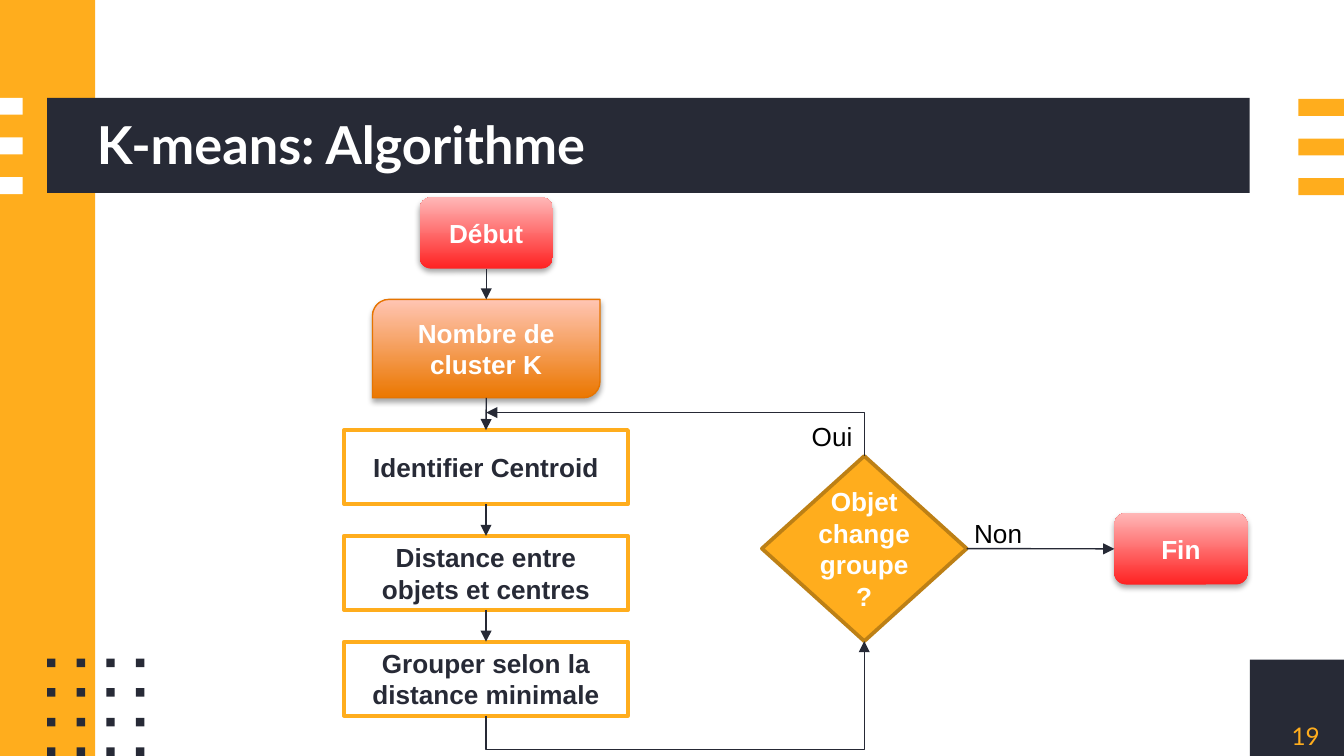
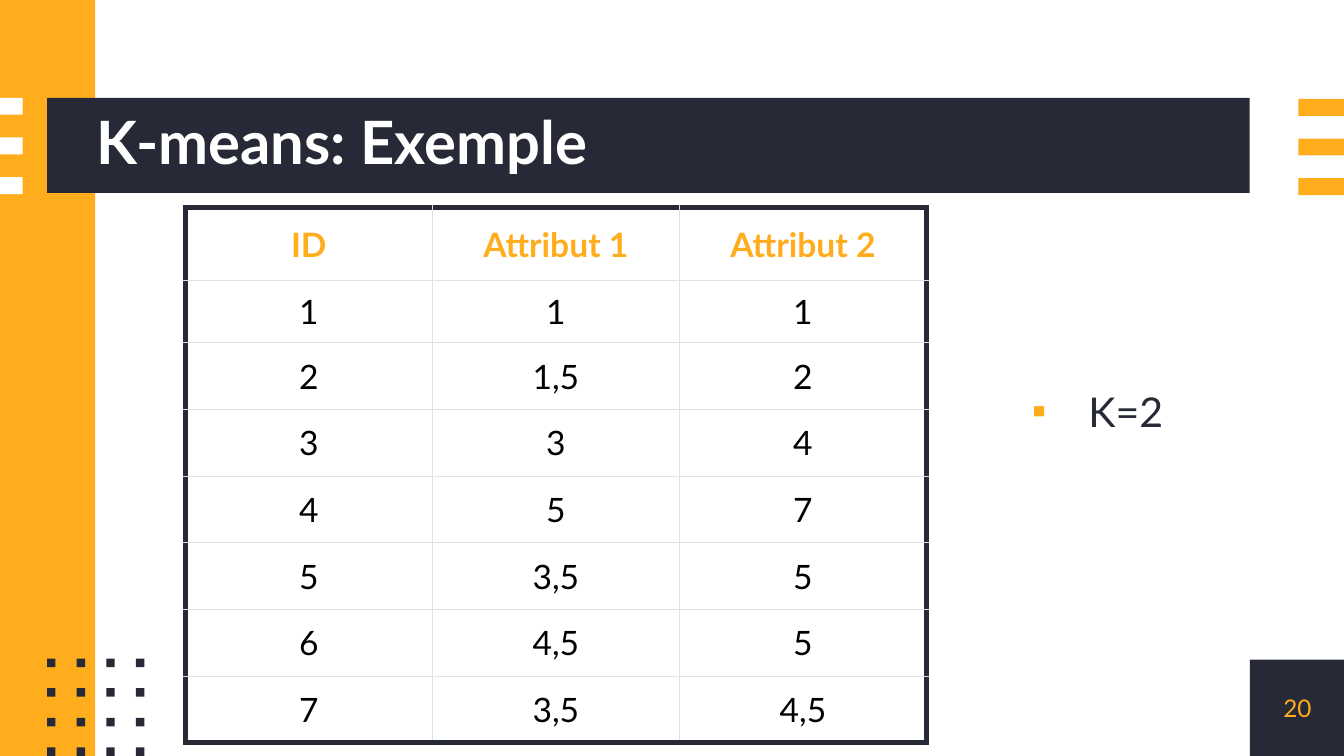
from lxml import etree
from pptx import Presentation
from pptx.dml.color import RGBColor
from pptx.enum.shapes import MSO_CONNECTOR, MSO_SHAPE
from pptx.enum.text import MSO_ANCHOR, MSO_AUTO_SIZE, PP_ALIGN
from pptx.oxml.ns import qn
from pptx.util import Cm, Pt

RECT = MSO_SHAPE.RECTANGLE
ROUND = MSO_SHAPE.ROUNDED_RECTANGLE
LEAF = MSO_SHAPE.ROUND_2_DIAG_RECTANGLE
RHOMB = MSO_SHAPE.DIAMOND
LINE = MSO_CONNECTOR.STRAIGHT
ELBOW = MSO_CONNECTOR.ELBOW
LEFT, MID = PP_ALIGN.LEFT, PP_ALIGN.CENTER
TOP, CENTER = MSO_ANCHOR.TOP, MSO_ANCHOR.MIDDLE
NONE = MSO_AUTO_SIZE.NONE

HUES = {
    "dark": "272A36", "gold": "FFAD1D", "white": "FFFFFF", "black": "000000",
    "ink": "262935", "red": "FF2222", "pink": "FFB7B7", "orange": "EB7700",
    "peach": "FFC5B3", "rust": "E67400", "brown": "BD8015", "grid": "E0E0E7",
}
SITES = {"top": 0, "left": 1, "bottom": 2, "right": 3}
LEAF_SITES = {"right": 0, "bottom": 1, "left": 2, "top": 3}
ROWS = [
    ("ID", "Attribut 1", "Attribut 2"),
    ("1", "1", "1"), ("2", "1,5", "2"), ("3", "3", "4"), ("4", "5", "7"),
    ("5", "3,5", "5"), ("6", "4,5", "5"), ("7", "3,5", "4,5"),
]


def hue(name):
    return RGBColor.from_string(HUES[name])


def sub(node, tag, **attrs):
    return etree.SubElement(node, qn(tag), {k: str(v) for k, v in attrs.items()})


def tint(node, name):
    return sub(sub(node, "a:solidFill"), "a:srgbClr", val=HUES[name])


def spot(shape, side):
    x = {"left": 0, "right": 1}.get(side, 0.5)
    y = {"top": 0, "bottom": 1}.get(side, 0.5)
    return int(shape.left + x * shape.width), int(shape.top + y * shape.height)


class Deck:
    """Holds the style and the current slide, and draws each kind of element."""

    def __init__(self):
        self.prs = Presentation()
        self.prs.slide_width, self.prs.slide_height = Cm(25.4), Cm(14.29)
        self.slide = None

    def start(self, layout, title, size, box, page, page_box):
        self.slide = self.prs.slides.add_slide(self.prs.slide_layouts[layout])
        head = self.slide.shapes.title
        self.place(head, box)
        self.letter(head, title, size, "white", "Lato", True, LEFT, CENTER, 0)
        head.text_frame.paragraphs[0].line_spacing = 0.9
        number = self.slide.shapes.add_textbox(*map(Cm, page_box))
        self.letter(number, page, 13, "gold", "Lato", False, MID, CENTER, 0)

    def place(self, shape, box):
        shape.left, shape.top, shape.width, shape.height = map(Cm, box)

    def letter(self, shape, text, size, color, face="Arial", bold=False,
               align=MID, anchor=CENTER, inset=None):
        frame = shape.text_frame
        frame.text = text
        frame.word_wrap, frame.auto_size = True, NONE
        frame.vertical_anchor = anchor
        if inset is not None:
            frame.margin_left = frame.margin_right = Cm(inset)
            frame.margin_top = frame.margin_bottom = Cm(inset)
        self.style(frame.paragraphs[0], size, color, face, bold, align)

    def style(self, para, size, color, face, bold, align):
        para.alignment = align
        font = para.font
        font.size, font.name, font.bold = Pt(size), face, bold
        font.color.rgb = hue(color)

    def backdrop(self):
        group = self.slide.shapes.add_group_shape()
        bars = [
            ("dark", 23.62, 12.47, 1.8, 1.82),
            ("gold", 0, 0, 1.8, 14.29),
            ("dark", 0.89, 1.85, 22.73, 1.8),
        ]
        for i in range(3):
            bars.append(("white", 0, 1.85 + 0.75 * i, 0.43, 0.32))
            bars.append(("gold", 24.54, 1.87 + 0.75 * i, 0.86, 0.32))
        for i in range(16):
            x, y = 0.89 + 0.56 * (i % 4), 12.45 + 0.56 * (i // 4)
            bars.append(("dark", x, y, 0.16, 0.16))
        for color, *box in bars:
            bar = group.shapes.add_shape(RECT, *map(Cm, box))
            self.paint(bar, color)
        self.prs.slide_master.shapes.element.insert(2, group.element)

    def paint(self, shape, fill, edge=None, width=0):
        shape.shadow.inherit = False
        if isinstance(fill, tuple):
            shape.fill.gradient()
            shape.fill.gradient_angle = 90
            for stop, name in zip(shape.fill.gradient_stops, fill):
                stop.color.rgb = hue(name)
        else:
            shape.fill.solid()
            shape.fill.fore_color.rgb = hue(fill)
        if edge:
            shape.line.color.rgb = hue(edge)
            shape.line.width = Pt(width)
        else:
            shape.line.fill.background()

    def node(self, kind, box, text, fill, color="white", edge=None, width=0, inset=None):
        shape = self.slide.shapes.add_shape(kind, *map(Cm, box))
        self.paint(shape, fill, edge, width)
        self.letter(shape, text, 14, color, bold=True, inset=inset)
        if isinstance(fill, tuple):
            glow = shape.element.spPr.find(qn("a:effectLst"))
            shade = sub(glow, "a:outerShdw", blurRad=Pt(3.1), dist=Pt(1.8),
                        dir=5400000, rotWithShape=0)
            sub(sub(shade, "a:srgbClr", val=HUES["black"]), "a:alpha", val=35000)
        return shape

    def label(self, text, box):
        shape = self.slide.shapes.add_textbox(*map(Cm, box))
        self.letter(shape, text, 14, "black", align=LEFT, anchor=TOP)

    def arrow(self, kind, start, end):
        line = self.slide.shapes.add_connector(kind, *start, *end)
        line.line.color.rgb = hue("ink")
        line.line.width = Pt(0.75)
        props = line.element.spPr
        sub(props.find(qn("a:ln")), "a:tailEnd", type="triangle")
        sub(props, "a:effectLst")
        return line

    def link(self, one, out, two, into):
        start, end = spot(one, out), spot(two, into)
        line = self.arrow(LINE, start, end)
        for shape, side, join in ((one, out, line.begin_connect), (two, into, line.end_connect)):
            sites = LEAF_SITES if shape.auto_shape_type == LEAF else SITES
            join(shape, sites[side])
        line.begin_x, line.begin_y = start
        line.end_x, line.end_y = end

    def bend(self, start, end, kind, turn, flips, drop=None):
        (ax, ay), (bx, by) = start, end
        wide, high = abs(by - ay), abs(bx - ax)
        x, y = (ax + bx - wide) // 2, (ay + by - high) // 2
        line = self.arrow(ELBOW, (x, y), (x + wide, y + high))
        frame = line.element.spPr.find(qn("a:xfrm"))
        frame.set("rot", str(turn * 60000))
        for flip in flips:
            frame.set(flip, "1")
        geom = line.element.spPr.find(qn("a:prstGeom"))
        geom.set("prst", kind)
        if drop:
            guide = f"val {round(-100000 * Cm(drop) / wide)}"
            sub(geom.find(qn("a:avLst")), "a:gd", name="adj1", fmla=guide)

    def bullet(self, text, box):
        body = self.slide.placeholders[1]
        self.place(body, box)
        self.letter(body, text, 22, "dark", "Lato", False, LEFT, TOP, 0)
        para = body.text_frame.paragraphs[0]
        para.line_spacing, para.space_before = 1.15, Pt(0)
        props = para._p.get_or_add_pPr()
        props.set("marL", str(Cm(1.27)))
        props.set("indent", str(Cm(-1.07)))
        mark = etree.Element(qn("a:buClr"))
        sub(mark, "a:srgbClr", val=HUES["gold"])
        sign = etree.Element(qn("a:buChar"), char="▪")
        props.find(qn("a:spcBef")).addnext(mark)
        mark.addnext(sign)

    def table(self, rows, left, top, wide, highs):
        count, cols = len(rows), len(rows[0])
        table = self.slide.shapes.add_table(
            count, cols, Cm(left), Cm(top), Cm(wide * cols), Cm(sum(highs))).table
        table.first_row = table.horz_banding = False
        for col in table.columns:
            col.width = Cm(wide)
        for r, row in enumerate(rows):
            table.rows[r].height = Cm(highs[r])
            for c, text in enumerate(row):
                cell = table.cell(r, c)
                cell.text = text
                cell.vertical_anchor = CENTER
                cell.margin_left = cell.margin_right = Cm(0.25)
                cell.margin_top = cell.margin_bottom = Cm(0.18)
                color = "black" if r else "gold"
                self.style(cell.text_frame.paragraphs[0], 18, color, "Lato", r == 0, MID)
                outer = {"L": c == 0, "R": c == cols - 1, "T": r == 0, "B": r == count - 1}
                self.border(cell, outer)

    def border(self, cell, outer):
        props = cell._tc.get_or_add_tcPr()
        for side, edge in outer.items():
            tint(sub(props, f"a:ln{side}", w=Pt(3 if edge else 0.75)),
                 "dark" if edge else "grid")
        cell.fill.background()


def flow(deck):
    deck.start(5, "K-means: Algorithme", 28, (1.83, 1.35, 25.43, 2.87),
               "19", (23.62, 12.47, 2.11, 2.87))
    deck.backdrop()
    begin = deck.node(ROUND, (7.93, 3.73, 2.52, 1.35), "Début", ("red", "pink"))
    finish = deck.node(ROUND, (21.06, 9.7, 2.52, 1.35), "Fin", ("red", "pink"))
    count = deck.node(LEAF, (7.04, 5.66, 4.3, 1.86), "Nombre de cluster K",
                      ("orange", "peach"), edge="rust", width=0.75)
    steps = ["Identifier Centroid", "Distance entre objets et centres",
             "Grouper selon la distance minimale"]
    chain = [begin, count]
    for i, text in enumerate(steps):
        chain.append(deck.node(RECT, (6.5, 8.13 + 2 * i, 5.37, 1.4), text,
                               "white", "dark", "gold", 2))
    test = deck.node(RHOMB, (14.4, 8.62, 3.87, 3.5), "Objet change groupe ?",
                     "gold", edge="brown", width=2, inset=0)
    for one, two in zip(chain, chain[1:]):
        deck.link(one, "bottom", two, "top")
    deck.bend(spot(chain[-1], "bottom"), spot(test, "bottom"),
              "bentConnector3", 90, ("flipH", "flipV"), 0.64)
    deck.bend(spot(test, "top"), (spot(count, "bottom")[0], Cm(7.8)),
              "bentConnector2", 270, ("flipV",))
    deck.link(test, "right", finish, "left")
    deck.label("Non", (18.16, 9.65, 2.06, 0.86))
    deck.label("Oui", (15.09, 7.82, 1.98, 0.86))


def sample(deck):
    deck.start(1, "K-means: Exemple", 32, (1.83, 1.85, 21.79, 1.8),
               "20", (23.62, 12.47, 1.8, 1.8))
    deck.bullet("K=2", (19.3, 7.16, 3.61, 1.4))
    deck.table(ROWS, 3.5, 3.93, 4.67, [1.37, 1.18] + [1.26] * 6)


def main():
    deck = Deck()
    flow(deck)
    sample(deck)
    deck.prs.save("out.pptx")


if __name__ == "__main__":
    main()
